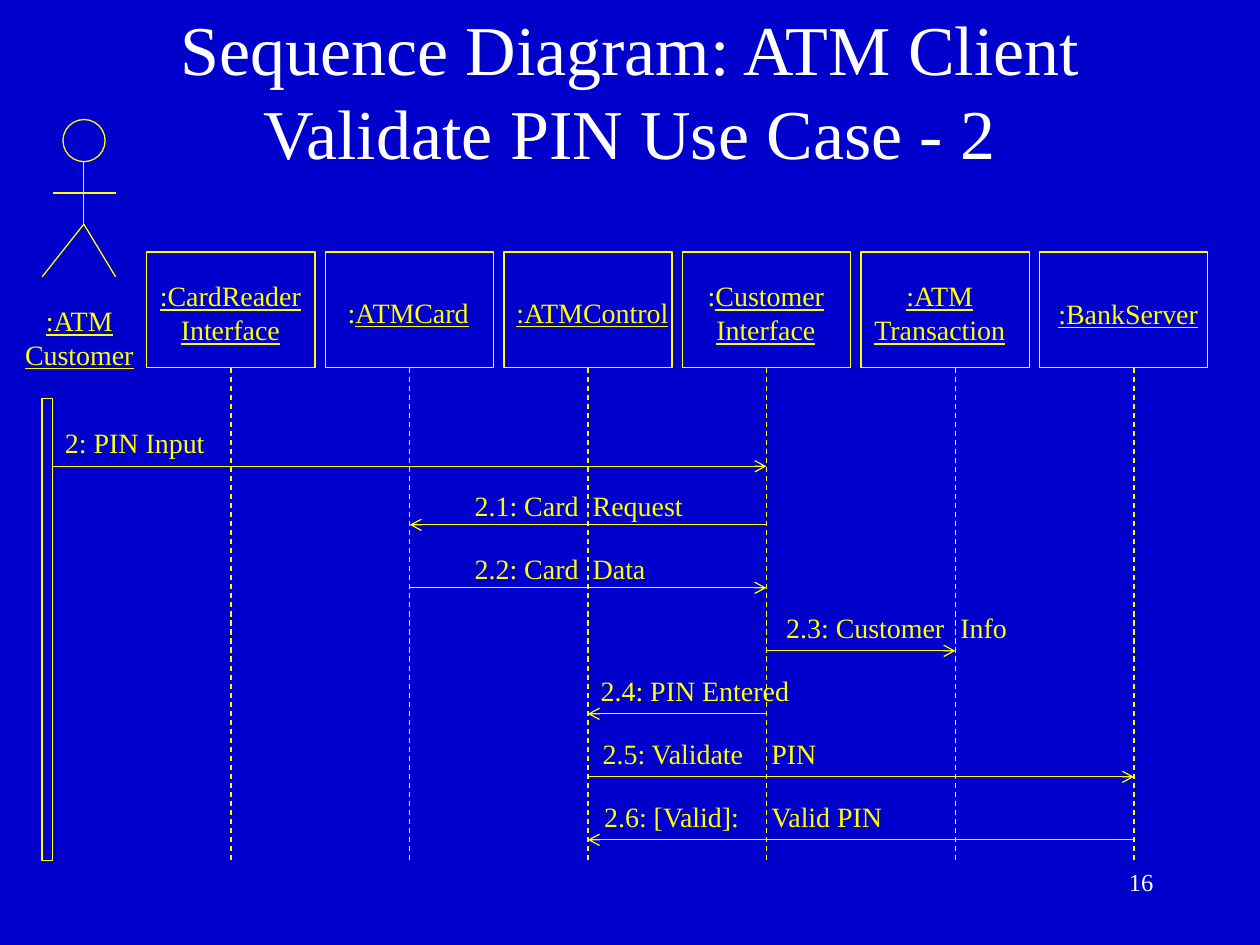
import pptx
import pptx.dml.color
import pptx.enum.dml
import pptx.enum.shapes
import pptx.enum.text
import pptx.oxml
import pptx.oxml.ns
import pptx.util

Cm = pptx.util.Cm
Pt = pptx.util.Pt
SHAPE = pptx.enum.shapes.MSO_SHAPE
ALIGN = pptx.enum.text.PP_ALIGN
ANCHOR = pptx.enum.text.MSO_ANCHOR

BLUE = pptx.dml.color.RGBColor(0x00, 0x00, 0xCC)
YELLOW = pptx.dml.color.RGBColor(0xFF, 0xFF, 0x00)
WHITE = pptx.dml.color.RGBColor(0xFF, 0xFF, 0xFF)

LABEL = {"name": "Times New Roman", "size": Pt(16)}
TITLE = {"name": "Times New Roman", "size": Pt(40)}
NUMBER = {"name": "Times New Roman", "size": Pt(14)}
UNDERLINED = {**LABEL, "underline": True}

prs = pptx.Presentation()
prs.slide_width, prs.slide_height = Cm(25.4), Cm(19.05)
s = prs.slides.add_slide(prs.slide_layouts[6])
s.background.fill.solid()
s.background.fill.fore_color.rgb = BLUE


def add_text(box, lines, color, align, wrap=True, anchor=ANCHOR.TOP, tab=None):
    """Add a text box; each line is a list of (text, font format) runs."""
    tf = s.shapes.add_textbox(*(Cm(v) for v in box)).text_frame
    tf.word_wrap, tf.vertical_anchor = wrap, anchor
    for i, runs in enumerate(lines):
        p = tf.add_paragraph() if i else tf.paragraphs[0]
        p.alignment = align
        if tab:
            stops = pptx.oxml.parse_xml(
                f'<a:tabLst {pptx.oxml.ns.nsdecls("a")}>'
                f'<a:tab pos="{Cm(tab)}" algn="l"/></a:tabLst>')
            p._p.get_or_add_pPr().append(stops)
        for text, fmt in runs:
            r = p.add_run()
            r.text = text
            for name, value in fmt.items():
                setattr(r.font, name, value)
            r.font.color.rgb = color


def add_line(x1, y1, x2, y2, dash=None, arrow=False):
    """Add a thin yellow line, with an open arrowhead at its end if asked."""
    cn = s.shapes.add_connector(pptx.enum.shapes.MSO_CONNECTOR.STRAIGHT,
                                Cm(x1), Cm(y1), Cm(x2), Cm(y2))
    cn.line.color.rgb = YELLOW
    cn.line.width = Pt(0.75)
    if dash:
        cn.line.dash_style = dash
    ns = pptx.oxml.ns.nsdecls("a")
    if arrow:
        cn.line._get_or_add_ln().append(
            pptx.oxml.parse_xml(f'<a:tailEnd {ns} type="arrow"/>'))
    cn._element.spPr.append(pptx.oxml.parse_xml(f"<a:effectLst {ns}/>"))
    return cn


# Title
add_text((1.9, 0.22, 21.6, 3.18),
         [[("Sequence Diagram: ATM Client Validate PIN Use Case - 2", TITLE)]],
         WHITE, ALIGN.CENTER, anchor=ANCHOR.MIDDLE)

# Outlines: actor head, activation bar, then one box per object
BOX_TOP, BOX_W, BOX_H, BOX_STEP = 5.08, 3.39, 2.33, 3.6
outlines = [(SHAPE.OVAL, 1.27, 2.41, 0.85, 0.85),
            (SHAPE.RECTANGLE, 0.85, 8.04, 0.21, 9.31)]
outlines += [(SHAPE.RECTANGLE, 2.96 + BOX_STEP * i, BOX_TOP, BOX_W, BOX_H)
             for i in range(6)]
shapes = []
for kind, *box in outlines:
    sp = s.shapes.add_shape(kind, *(Cm(v) for v in box))
    sp.shadow.inherit = False
    sp.fill.background()
    sp.line.color.rgb = YELLOW
    sp.line.width = Pt(0.75)
    shapes.append(sp)
objects = shapes[2:]

# Actor body, arms and legs
for x1, y1, x2, y2 in [(1.69, 3.26, 1.69, 4.52), (1.06, 3.89, 2.33, 3.89),
                       (1.69, 4.52, 2.33, 5.58), (1.69, 4.52, 0.85, 5.58)]:
    add_line(x1, y1, x2, y2)

# Actor and object names
U = UNDERLINED
for left, top, width, lines in [
    (0.25, 6.0, 2.7, [[(":ATM", U)], [("Customer", U)]]),
    (2.92, 5.5, 3.45, [[(":CardReader", U)], [("Interface", U)]]),
    (6.68, 5.83, 3.1, [[(":", LABEL), ("ATMCard", U)]]),
    (10.08, 5.83, 3.73, [[(":ATMControl", U)]]),
    (13.92, 5.5, 3.04, [[(":", LABEL), ("Customer", U)], [("Interface", U)]]),
    (17.32, 5.5, 3.25, [[(":ATM", U)], [("Transaction", U)]]),
    (21.03, 5.85, 3.43, [[(":BankServer", U)]]),
]:
    add_text((left, top, width, 0.93 * len(lines)), lines, YELLOW,
             ALIGN.CENTER, wrap=False)

# Lifelines; the last two hang right of the middle of their box
CARD, CONTROL, CUSTOMER, TRANSACTION, BANK = 8.26, 11.85, 15.45, 19.26, 22.86
lifelines = [4.66, CARD, CONTROL, CUSTOMER, TRANSACTION, BANK]
for i, (x, sp) in enumerate(zip(lifelines, objects)):
    cn = add_line(x, BOX_TOP + BOX_H, x, 17.35,
                  dash=pptx.enum.dml.MSO_LINE.DASH)
    if i < 4:
        cn.begin_connect(sp, 2)
        cn.end_x = cn.begin_x

# Messages: sender, receiver, arrow height, label place, label, lifeline to clear
for start, end, y, left, top, width, text, crossed in [
    (1.06, CUSTOMER, 9.4, 1.06, 8.46, 3.6, "2: PIN Input", None),
    (CUSTOMER, CARD, 10.58, 9.32, 9.73, 5.0, "2.1: Card\tRequest", CONTROL),
    (CARD, CUSTOMER, 11.85, 9.32, 11.0, 4.3, "2.2: Card\tData", CONTROL),
    (CUSTOMER, TRANSACTION, 13.12, 15.6, 12.19, 5.2,
     "2.3: Customer\tInfo", TRANSACTION),
    (CUSTOMER, CONTROL, 14.39, 11.86, 13.46, 4.6, "2.4: PIN Entered", None),
    (CONTROL, BANK, 15.66, 11.9, 14.73, 5.2, "2.5: Validate\tPIN", CUSTOMER),
    (BANK, CONTROL, 16.93, 11.93, 16.0, 6.6,
     "2.6: [Valid]:\tValid PIN", CUSTOMER),
]:
    add_line(start, y, end, y, arrow=True)
    tab = crossed + 0.1 - left - 0.25 if crossed else None
    add_text((left, top, width, 0.93), [[(text, LABEL)]],
             YELLOW, ALIGN.LEFT, tab=tab)

# Slide number
add_text((18.2, 17.35, 5.3, 1.27), [[("16", NUMBER)]], WHITE, ALIGN.RIGHT)

prs.save("out.pptx")
